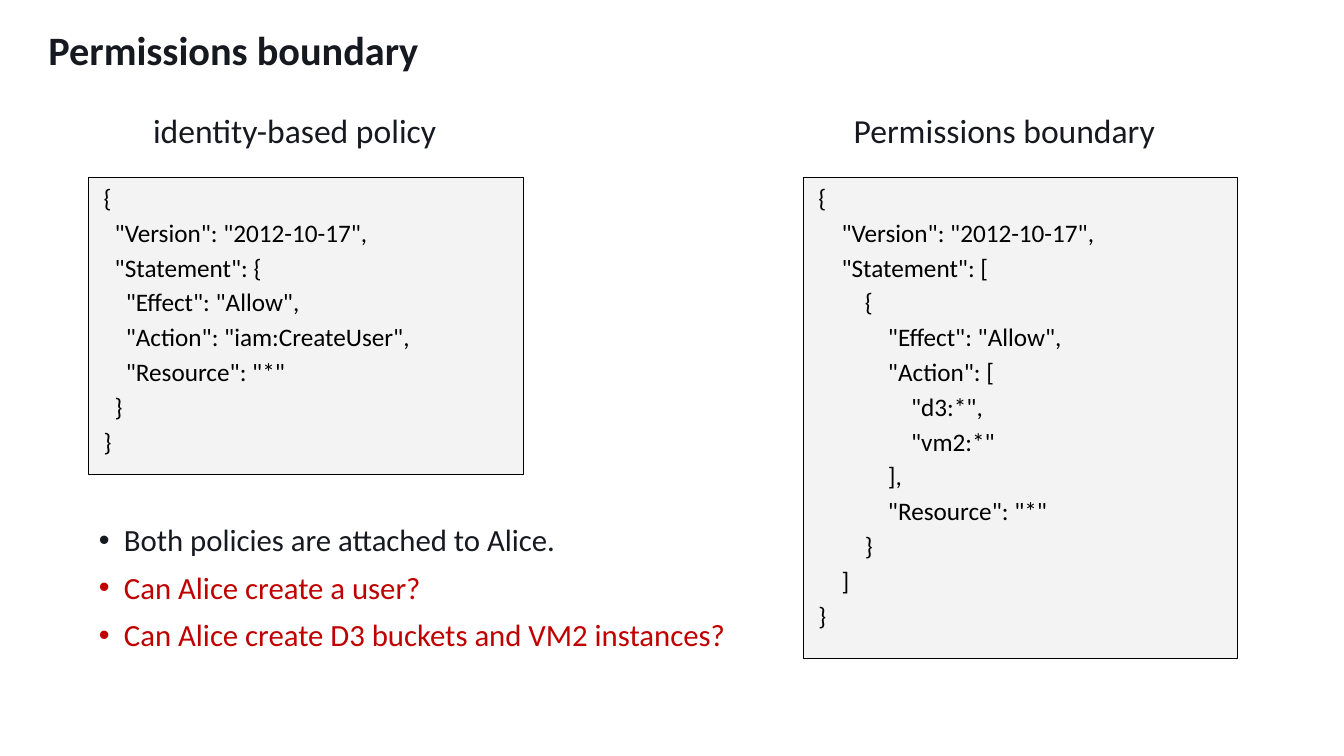
from dataclasses import dataclass

from lxml import etree
from pptx import Presentation
from pptx.dml.color import RGBColor
from pptx.enum.shapes import MSO_SHAPE
from pptx.enum.text import MSO_ANCHOR, MSO_AUTO_SIZE, PP_ALIGN
from pptx.oxml.ns import qn
from pptx.util import Emu, Inches, Pt

INK = RGBColor(0x16, 0x19, 0x1F)
BLACK = RGBColor(0x00, 0x00, 0x00)
RED = RGBColor(0xC0, 0x00, 0x00)
GREY = RGBColor(0xD9, 0xD9, 0xD9)
FONT = "Calibri"
LEFT = PP_ALIGN.LEFT
TOP, MIDDLE = MSO_ANCHOR.TOP, MSO_ANCHOR.MIDDLE
NO_AUTOFIT = MSO_AUTO_SIZE.NONE
RECTANGLE = MSO_SHAPE.RECTANGLE

SLIDE_WIDTH, SLIDE_HEIGHT = Inches(13.333), Inches(7.5)
COLUMN, ROW = SLIDE_WIDTH / 100, SLIDE_HEIGHT / 100  # grid of 100 by 100
LABEL_TOP, LABEL_WIDTH, LABEL_HEIGHT = 14.53, 26.48, 6.93
CODE_TOP, CODE_WIDTH = 23.47, 32.33
CODE_MARGIN = 0.05


@dataclass(frozen=True)
class CodeLine:
    depth: int
    text: str


@dataclass(frozen=True)
class Policy:
    label: str
    label_left: float
    code_left: float
    code_height: float
    indent: float  # inches per nesting level
    lines: tuple[CodeLine, ...]


@dataclass(frozen=True)
class Bullet:
    text: str
    color: RGBColor


POLICIES = (
    Policy("identity-based policy", 10.65, 6.6, 39.33, 0.11, (
        CodeLine(0, '{'),
        CodeLine(1, '"Version": "2012-10-17",'),
        CodeLine(1, '"Statement": {'),
        CodeLine(2, '"Effect": "Allow",'),
        CodeLine(2, '"Action": "iam:CreateUser",'),
        CodeLine(2, '"Resource": "*"'),
        CodeLine(1, '}'),
        CodeLine(0, '}'),
    )),
    Policy("Permissions boundary", 62.78, 59.78, 63.6, 0.23, (
        CodeLine(0, '{'),
        CodeLine(1, '"Version": "2012-10-17",'),
        CodeLine(1, '"Statement": ['),
        CodeLine(2, '{'),
        CodeLine(3, '"Effect": "Allow",'),
        CodeLine(3, '"Action": ['),
        CodeLine(4, '"d3:*",'),
        CodeLine(4, '"vm2:*"'),
        CodeLine(3, '],'),
        CodeLine(3, '"Resource": "*"'),
        CodeLine(2, '}'),
        CodeLine(1, ']'),
        CodeLine(0, '}'),
    )),
)

BULLETS = (
    Bullet("Both policies are attached to Alice.", INK),
    Bullet("Can Alice create a user?", RED),
    Bullet("Can Alice create D3 buckets and VM2 instances?", RED),
)


def grid_box(left: float, top: float, width: float, height: float) -> tuple[Emu, Emu, Emu, Emu]:
    """Turn grid columns and rows into slide lengths."""
    return (Emu(round(left * COLUMN)), Emu(round(top * ROW)),
            Emu(round(width * COLUMN)), Emu(round(height * ROW)))


def place(shape, left: float, top: float, width: float, height: float) -> None:
    shape.left, shape.top, shape.width, shape.height = grid_box(left, top, width, height)


def prepare_frame(frame, anchor=TOP) -> None:
    frame.word_wrap = True
    frame.auto_size = NO_AUTOFIT
    frame.vertical_anchor = anchor


def write_paragraph(para, text: str, size: float, color: RGBColor,
                    line_spacing: float = 0.9, before: float = 10, bold: bool = False) -> None:
    para.text = text
    para.alignment = LEFT
    para.line_spacing = line_spacing
    para.space_before = Pt(before)
    para.font.name = FONT
    para.font.size = Pt(size)
    para.font.bold = bold
    para.font.color.rgb = color


def set_indent(para, margin: float, first_line: float = 0) -> None:
    properties = para._p.get_or_add_pPr()
    properties.set("marL", str(Inches(margin)))
    properties.set("indent", str(Inches(first_line)))


def set_opacity(shape, percent: int) -> None:
    color = shape._element.spPr.find(qn("a:solidFill"))[0]
    etree.SubElement(color, qn("a:alpha"), val=str(percent * 1000))


def paragraphs_for(frame, items):
    """Pair each item with a paragraph, using the frame's first one."""
    for index, item in enumerate(items):
        yield item, frame.add_paragraph() if index else frame.paragraphs[0]


def add_policy(page, policy: Policy) -> None:
    code = page.shapes.add_shape(
        RECTANGLE, *grid_box(policy.code_left, CODE_TOP, CODE_WIDTH, policy.code_height))
    code.shadow.inherit = False
    code.fill.solid()
    code.fill.fore_color.rgb = GREY
    set_opacity(code, 30)
    code.line.color.rgb = BLACK
    code.line.width = Pt(0.75)
    prepare_frame(code.text_frame)
    for line, para in paragraphs_for(code.text_frame, policy.lines):
        write_paragraph(para, line.text, 18, BLACK, line_spacing=1.0, before=3.25)
        set_indent(para, CODE_MARGIN + line.depth * policy.indent)

    label = page.shapes.add_textbox(
        *grid_box(policy.label_left, LABEL_TOP, LABEL_WIDTH, LABEL_HEIGHT))
    prepare_frame(label.text_frame)
    write_paragraph(label.text_frame.paragraphs[0], policy.label, 24, INK)


def fill_title(title) -> None:
    place(title, 2.85, 3.47, 42, 6.93)
    prepare_frame(title.text_frame, MIDDLE)
    write_paragraph(title.text_frame.paragraphs[0], "Permissions boundary",
                    28.8, INK, before=0, bold=True)


def fill_questions(body) -> None:
    place(body, 6.6, 68.8, 53.18, 22.53)
    prepare_frame(body.text_frame)
    for bullet, para in paragraphs_for(body.text_frame, BULLETS):
        write_paragraph(para, bullet.text, 22, bullet.color)
        set_indent(para, 0.25, -0.25)


def main() -> None:
    deck = Presentation()
    deck.slide_width, deck.slide_height = SLIDE_WIDTH, SLIDE_HEIGHT
    page = deck.slides.add_slide(deck.slide_layouts[1])
    fill_title(page.shapes.title)
    for policy in POLICIES:
        add_policy(page, policy)
    fill_questions(page.placeholders[1])
    deck.save("out.pptx")


if __name__ == "__main__":
    main()
